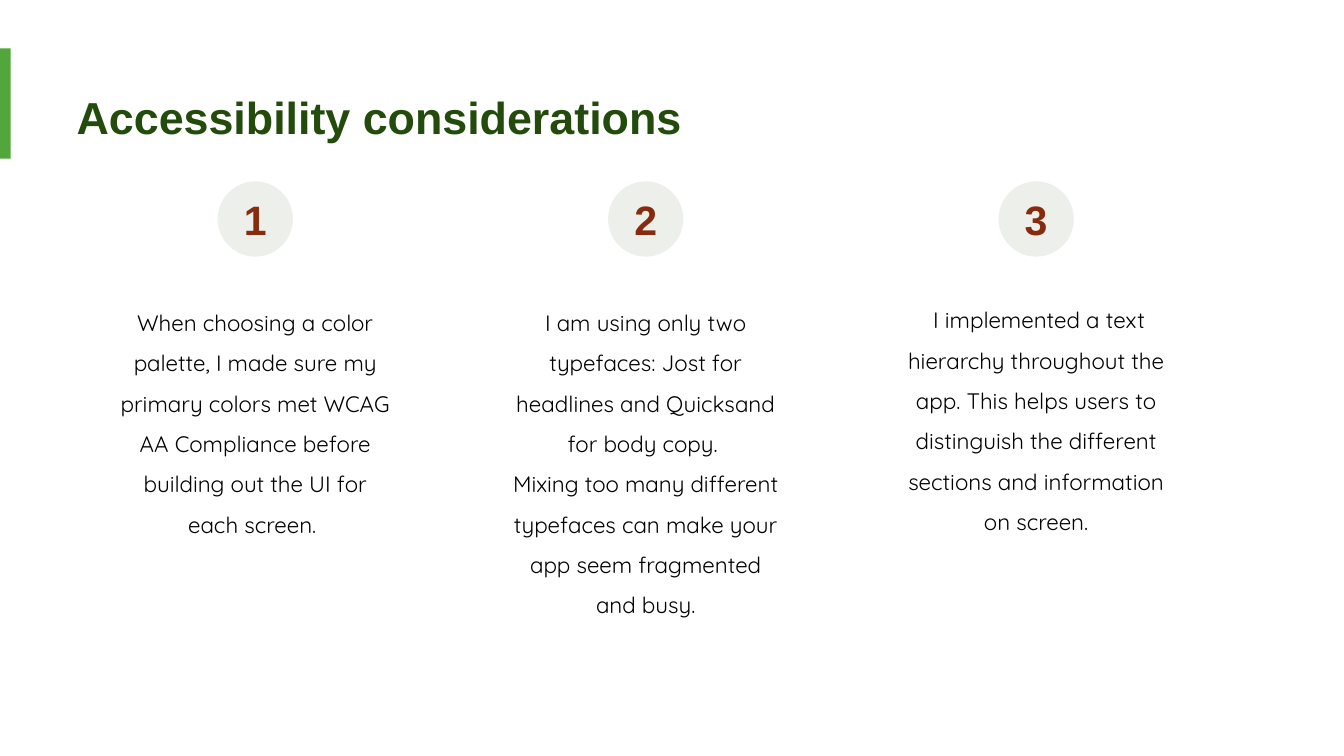
"""Build the accessibility considerations slide."""
import pptx
import pptx.dml.color
import pptx.enum.shapes
import pptx.enum.text
import pptx.util

Inches = pptx.util.Inches
SHAPE = pptx.enum.shapes.MSO_SHAPE
ALIGN = pptx.enum.text.PP_ALIGN
ANCHOR = pptx.enum.text.MSO_ANCHOR

FIRST, LAST, WIDTH, DISC = 0.78, 6.59, 2.24, 0.56
POINTS = [
    (2.1, 1.92, [
        "When choosing a color palette, I made sure my primary colors met "
        "WCAG AA Compliance before building out the UI for each screen. "]),
    (2.1, 2.52, [
        "I am using only two typefaces: Jost for headlines and Quicksand "
        "for body copy. ",
        "Mixing too many different typefaces can make your app seem "
        "fragmented and busy."]),
    (2.08, 1.92, [
        " I implemented a text hierarchy throughout the app. This helps users "
        "to distinguish the different sections and information on screen."]),
]


def paint(target, color):
    """Give a font or a fill a solid color."""
    if hasattr(target, "solid"):
        target.solid()
        target = target.fore_color
    else:
        target = target.color
    target.rgb = pptx.dml.color.RGBColor.from_string(color)


def write(frame, texts, face, size, color, bold=False, align=ALIGN.CENTER,
          space=1.0):
    """Fill a text frame with one paragraph for each text."""
    frame.word_wrap = True
    for i, text in enumerate(texts):
        para = frame.add_paragraph() if i else frame.paragraphs[0]
        para.alignment = align
        para.line_spacing = space
        run = para.add_run()
        run.text = text
        run.font.name = face
        run.font.size = pptx.util.Pt(size)
        run.font.bold = bold
        paint(run.font, color)


def inset(frame, left, rest):
    """Set the left margin and the other margins of a text frame."""
    frame.margin_left = Inches(left)
    frame.margin_top = frame.margin_right = frame.margin_bottom = Inches(rest)


def add_box(slide, left, top, width, height, margin=0.1):
    """Add a text box and return its text frame."""
    box = slide.shapes.add_textbox(*map(Inches, (left, top, width, height)))
    inset(box.text_frame, margin, 0.1)
    return box.text_frame


def add_shape(slide, kind, left, top, width, height, color):
    """Add a flat shape without an outline."""
    shape = slide.shapes.add_shape(
        kind, *map(Inches, (left, top, width, height)))
    shape.shadow.inherit = False
    shape.line.fill.background()
    paint(shape.fill, color)
    return shape


def add_disc(slide, left, number):
    """Add a numbered disc."""
    disc = add_shape(slide, SHAPE.OVAL, left, 1.35, DISC, DISC, "EDEFEB")
    frame = disc.text_frame
    inset(frame, 0, 0)
    frame.vertical_anchor = ANCHOR.MIDDLE
    write(frame, [str(number)], "Arial", 22, "862B0D", bold=True)


def main():
    """Build and save the slide."""
    deck = pptx.Presentation()
    deck.slide_width, deck.slide_height = Inches(10), Inches(10 * 9 / 16)
    slide = deck.slides.add_slide(deck.slide_layouts[6])
    add_shape(slide, SHAPE.RECTANGLE, 0, 0.36, 0.08, 0.82, "53A63C")
    title = add_box(slide, 0.57, 0.57, 7.66, 0.61, margin=0)
    write(title, ["Accessibility considerations"], "Arial", 24, "224B0C",
          bold=True, align=ALIGN.LEFT)
    step = (LAST - FIRST) / (len(POINTS) - 1)
    for i, (top, height, texts) in enumerate(POINTS):
        left = FIRST + i * step
        body = add_box(slide, left, top, WIDTH, height)
        write(body, texts, "Quicksand", 12, "000000", space=1.5)
        add_disc(slide, left + (WIDTH - DISC) / 2, i + 1)
    deck.save("out.pptx")


if __name__ == "__main__":
    main()
